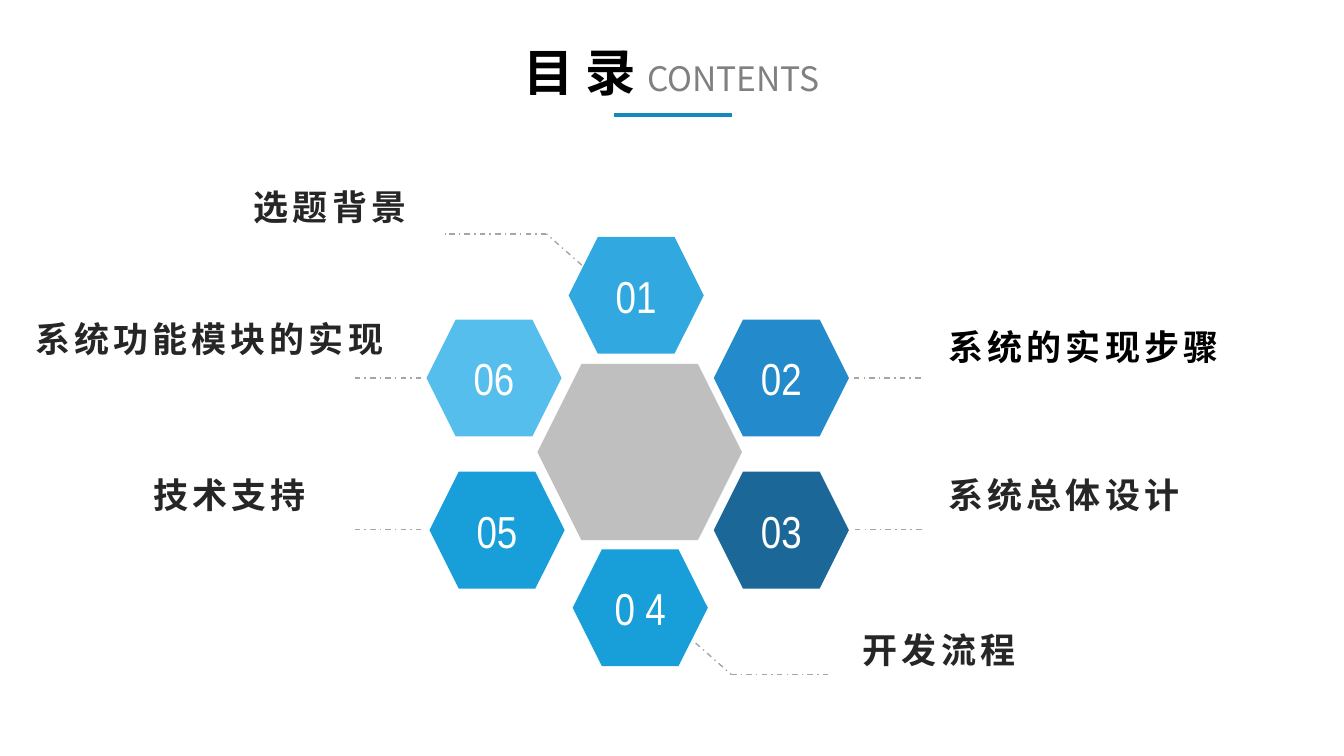
from dataclasses import dataclass

from lxml import etree
from pptx import Presentation
from pptx.dml.color import RGBColor
from pptx.enum import dml, shapes, text
from pptx.oxml import ns
from pptx.util import Inches, Pt


@dataclass(frozen=True)
class Theme:
    cjk: str = "Noto Sans CJK SC"
    number_font: str = "Arial Narrow"
    black: str = "000000"
    dark: str = "262626"
    grey: str = "808080"
    leader: str = "A6A6A6"
    core: str = "BFBFBF"
    white: str = "FFFFFF"
    accent: str = "1589BD"
    title_size: int = 36
    subtitle_size: int = 24
    number_size: int = 32
    label_size: int = 25
    label_spacing: int = 3
    line_height: float = 0.88


THEME = Theme()
TITLE = [("目 录 ", THEME.title_size, THEME.black, True),
         ("CONTENTS", THEME.subtitle_size, THEME.grey, False)]
TITLE_BOX = (4.85, 0.44, 3.62, 0.71)
UNDERLINE = ((6.09, 1.14), (7.26, 1.14))
CORE_BOX = (5.33, 3.61, 2.03, 1.75)
HEX_SIZE = (1.34, 1.16)
LABEL_HEIGHT = 0.52

TOPICS = [
    ("01", (5.64, 2.35), "31A8DF", "选题背景", (2.42, 1.84), THEME.dark,
     [(5.77, 2.63), (5.42, 2.32), (4.41, 2.32)]),
    ("06", (4.23, 3.17), "56BEEC", "系统功能模块的实现", (0.25, 3.15), THEME.dark,
     [(4.18, 3.75), (3.51, 3.75)]),
    ("05", (4.26, 4.68), "189ED9", "技术支持", (1.42, 4.7), THEME.dark,
     [(4.18, 5.25), (3.51, 5.25)]),
    ("0 4", (5.68, 5.45), "189ED9", "开发流程", (8.46, 6.24), THEME.dark,
     [(6.9, 6.38), (7.25, 6.69), (8.25, 6.69)]),
    ("02", (7.08, 3.17), "238ACB", "系统的实现步骤", (9.31, 3.23), THEME.black,
     [(9.13, 3.75), (8.46, 3.75)]),
    ("03", (7.08, 4.68), "1A6798", "系统总体设计", (9.31, 4.7), THEME.dark,
     [(9.14, 5.25), (8.47, 5.25)]),
]


def inches(values):
    return [Inches(v) for v in values]


def style(font, name, size, color, bold=False):
    font.name = name
    font.size = Pt(size)
    font.bold = bold
    font.color.rgb = RGBColor.from_string(color)


def add_cjk_run(p, words, size, color, bold, spacing=0):
    r = p.add_run()
    r.text = words
    style(r.font, THEME.cjk, size, color, bold)
    props = r._r.get_or_add_rPr()
    etree.SubElement(props, ns.qn("a:ea")).set("typeface", THEME.cjk)
    if spacing:
        props.set("spc", str(spacing * 100))


def add_line(slide, start, end, color, width, dash=None):
    line = slide.shapes.add_connector(
        shapes.MSO_CONNECTOR.STRAIGHT, *inches(start + end))
    line.line.color.rgb = RGBColor.from_string(color)
    line.line.width = Pt(width)
    if dash is not None:
        line.line.dash_style = dash
    etree.SubElement(line._element.spPr, ns.qn("a:effectLst"))


def add_hexagon(slide, box, color, number=None):
    sp = slide.shapes.add_shape(shapes.MSO_SHAPE.HEXAGON, *inches(box))
    sp.shadow.inherit = False
    sp.fill.solid()
    sp.fill.fore_color.rgb = RGBColor.from_string(color)
    sp.line.fill.background()
    if number:
        tf = sp.text_frame
        tf.word_wrap = False
        tf.vertical_anchor = text.MSO_ANCHOR.MIDDLE
        p = tf.paragraphs[0]
        p.text = number
        p.alignment = text.PP_ALIGN.CENTER
        style(p.font, THEME.number_font, THEME.number_size, THEME.white)


def add_label(slide, words, position, color):
    pitch = (THEME.label_size + THEME.label_spacing) / 72
    width = round(len(words) * pitch + 0.2, 2)
    sp = slide.shapes.add_textbox(*inches(position + (width, LABEL_HEIGHT)))
    sp.text_frame.word_wrap = False
    p = sp.text_frame.paragraphs[0]
    p.line_spacing = THEME.line_height
    add_cjk_run(p, words, THEME.label_size, color, True, THEME.label_spacing)


def add_title(slide):
    sp = slide.shapes.title
    sp.left, sp.top, sp.width, sp.height = inches(TITLE_BOX)
    tf = sp.text_frame
    tf.word_wrap = True
    tf.auto_size = text.MSO_AUTO_SIZE.NONE
    tf.vertical_anchor = text.MSO_ANCHOR.TOP
    p = tf.paragraphs[0]
    p.alignment = text.PP_ALIGN.CENTER
    p.line_spacing = THEME.line_height
    for run in TITLE:
        add_cjk_run(p, *run)


def main():
    prs = Presentation()
    prs.slide_width, prs.slide_height = inches((13.33, 7.5))
    slide = prs.slides.add_slide(prs.slide_layouts[5])
    add_title(slide)
    add_line(slide, *UNDERLINE, THEME.accent, 3.25)
    add_hexagon(slide, CORE_BOX, THEME.core)
    for number, corner, fill, words, position, color, leader in TOPICS:
        add_hexagon(slide, corner + HEX_SIZE, fill, number)
        for start, end in zip(leader, leader[1:]):
            add_line(slide, start, end, THEME.leader, 1, dml.MSO_LINE.DASH_DOT)
        add_label(slide, words, position, color)
    prs.save("out.pptx")


if __name__ == "__main__":
    main()
